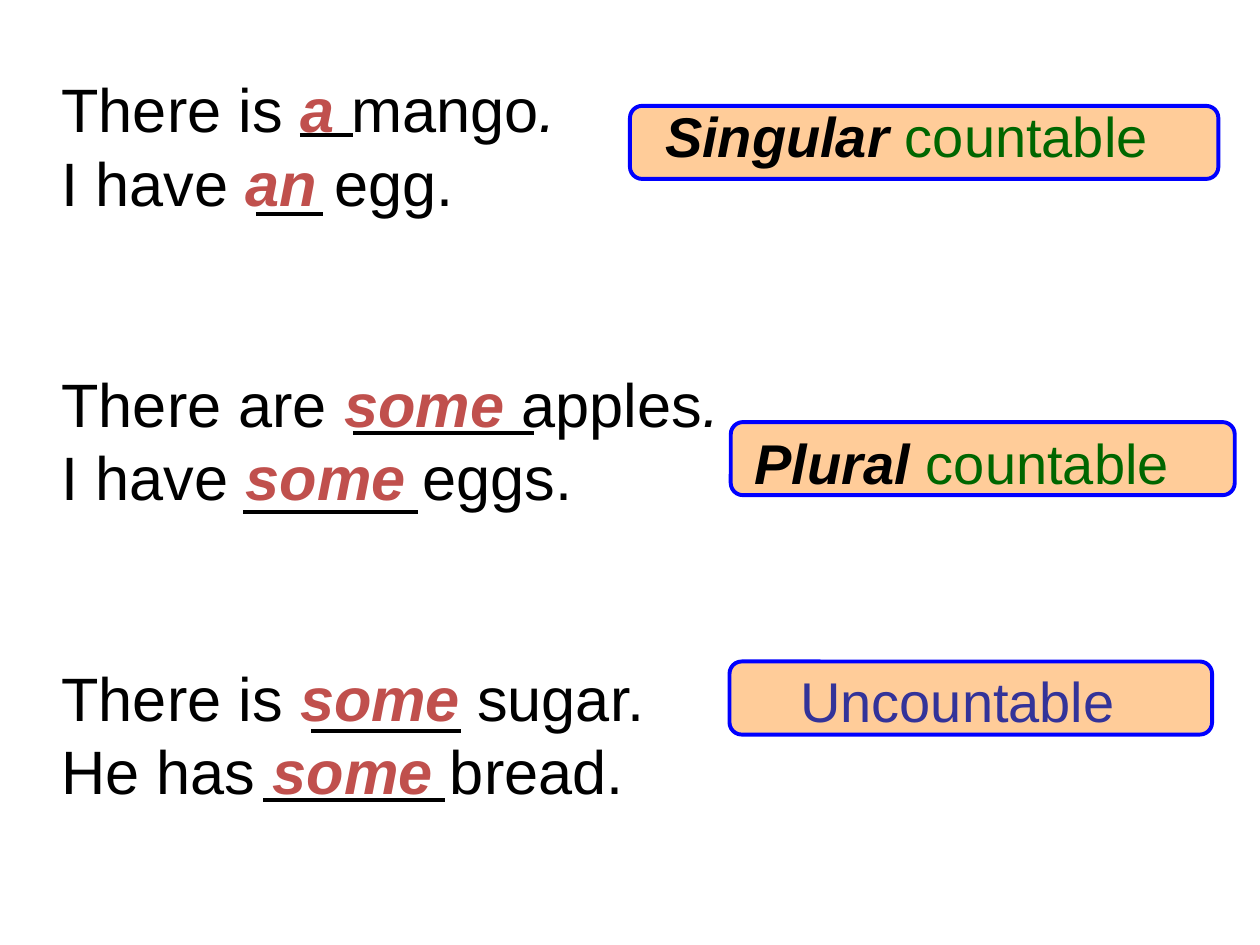
from lxml import etree
from pptx import Presentation
from pptx.dml.color import RGBColor
from pptx.enum import shapes, text
from pptx.oxml import ns
from pptx.util import Inches, Pt

COLORS = {"ink": "000000", "answer": "C0504D", "green": "006600", "indigo": "333399",
          "peach": "FFCC99", "blue": "0000FF"}
STYLES = {
    "plain": {"color": "ink", "bold": False, "italic": False},
    "slanted": {"color": "ink", "bold": False, "italic": True},
    "answer": {"color": "answer", "bold": True, "italic": True},
    "kind": {"color": "ink", "bold": True, "italic": True},
    "noun": {"color": "green", "bold": False, "italic": False},
    "mass": {"color": "indigo", "bold": False, "italic": False},
}

# Each group holds the example sentences for one kind of noun.
GROUPS = [
    [[("There is ", "plain"), ("a ", "answer"), ("mango", "plain"), (".", "slanted")],
     [("I have ", "plain"), ("an", "answer"), (" egg.", "plain")]],
    [[("There are ", "plain"), ("some", "answer"), (" apples", "plain"), (".", "slanted")],
     [("I have ", "plain"), ("some", "answer"), (" eggs.", "plain")]],
    [[("There is ", "plain"), ("some", "answer"), (" sugar.", "plain")],
     [("He has ", "plain"), ("some", "answer"), (" bread.", "plain")]],
]
SENTENCES_BOX = (0.39, 0.52, 5.63, 6.52)
LINE_PITCH = 42
BLANK_LINES = 2

# Label runs, plate (left, top, width), text box (left, top, width), alignment
LABELS = [
    ([("Singular ", "kind"), ("countable", "noun")],
     (5, 0.84, 4.67), (5.18, 0.76, 4.3), text.PP_ALIGN.LEFT),
    ([("Plural ", "kind"), ("countable", "noun")],
     (5.8, 3.35, 4), (5.89, 3.35, 3.58), text.PP_ALIGN.LEFT),
    ([("Uncountable", "mass")],
     (5.79, 5.25, 3.83), (6.15, 5.24, 2.9), text.PP_ALIGN.CENTER),
]
PLATE_HEIGHT, LABEL_HEIGHT = 0.58, 0.64

# Answer blanks: left, right, height on the slide
BLANKS = [(2.38, 2.8, 1.07), (2.03, 2.56, 1.7), (2.8, 4.24, 3.44),
          (1.93, 3.32, 4.06), (2.47, 3.66, 5.8), (2.09, 3.53, 6.35)]


def rgb(name):
    return RGBColor.from_string(COLORS[name])


def add_runs(paragraph, runs, size):
    for words, style in runs:
        run = paragraph.add_run()
        run.text = words
        look = STYLES[style]
        for name, value in {"name": "Arial", "size": Pt(size), "bold": look["bold"],
                            "italic": look["italic"]}.items():
            setattr(run.font, name, value)
        run.font.color.rgb = rgb(look["color"])


def add_frame(slide, box):
    frame = slide.shapes.add_textbox(*map(Inches, box)).text_frame
    frame.word_wrap = True
    return frame


def add_label(slide, runs, plate_place, text_place, alignment):
    plate = slide.shapes.add_shape(shapes.MSO_SHAPE.ROUNDED_RECTANGLE,
                                   *map(Inches, (*plate_place, PLATE_HEIGHT)))
    plate.shadow.inherit = False
    plate.fill.solid()
    plate.fill.fore_color.rgb = rgb("peach")
    plate.line.color.rgb = rgb("blue")
    plate.line.width = Pt(2.25)
    paragraph = add_frame(slide, (*text_place, LABEL_HEIGHT)).paragraphs[0]
    paragraph.alignment = alignment
    add_runs(paragraph, runs, 32)


def add_sentences(slide):
    frame = add_frame(slide, SENTENCES_BOX)
    for group_index, group in enumerate(GROUPS):
        for line_index, runs in enumerate(group):
            first = group_index == line_index == 0
            paragraph = frame.paragraphs[0] if first else frame.add_paragraph()
            paragraph.line_spacing = Pt(LINE_PITCH)
            if line_index == 0 and not first:
                paragraph.space_before = Pt(BLANK_LINES * LINE_PITCH)
            add_runs(paragraph, runs, 35)


def add_blank(slide, left, right, y):
    blank = slide.shapes.add_connector(shapes.MSO_CONNECTOR.STRAIGHT,
                                       *map(Inches, (left, y, right, y)))
    blank.line.color.rgb = rgb("ink")
    blank.line.width = Pt(2.25)
    etree.SubElement(blank._element.spPr, ns.qn("a:effectLst"))


def main():
    deck = Presentation()
    deck.slide_width, deck.slide_height = Inches(10), Inches(7.5)
    slide = deck.slides.add_slide(deck.slide_layouts[6])
    for label in LABELS:
        add_label(slide, *label)
    add_sentences(slide)
    for blank in BLANKS:
        add_blank(slide, *blank)
    deck.save("out.pptx")


if __name__ == "__main__":
    main()
